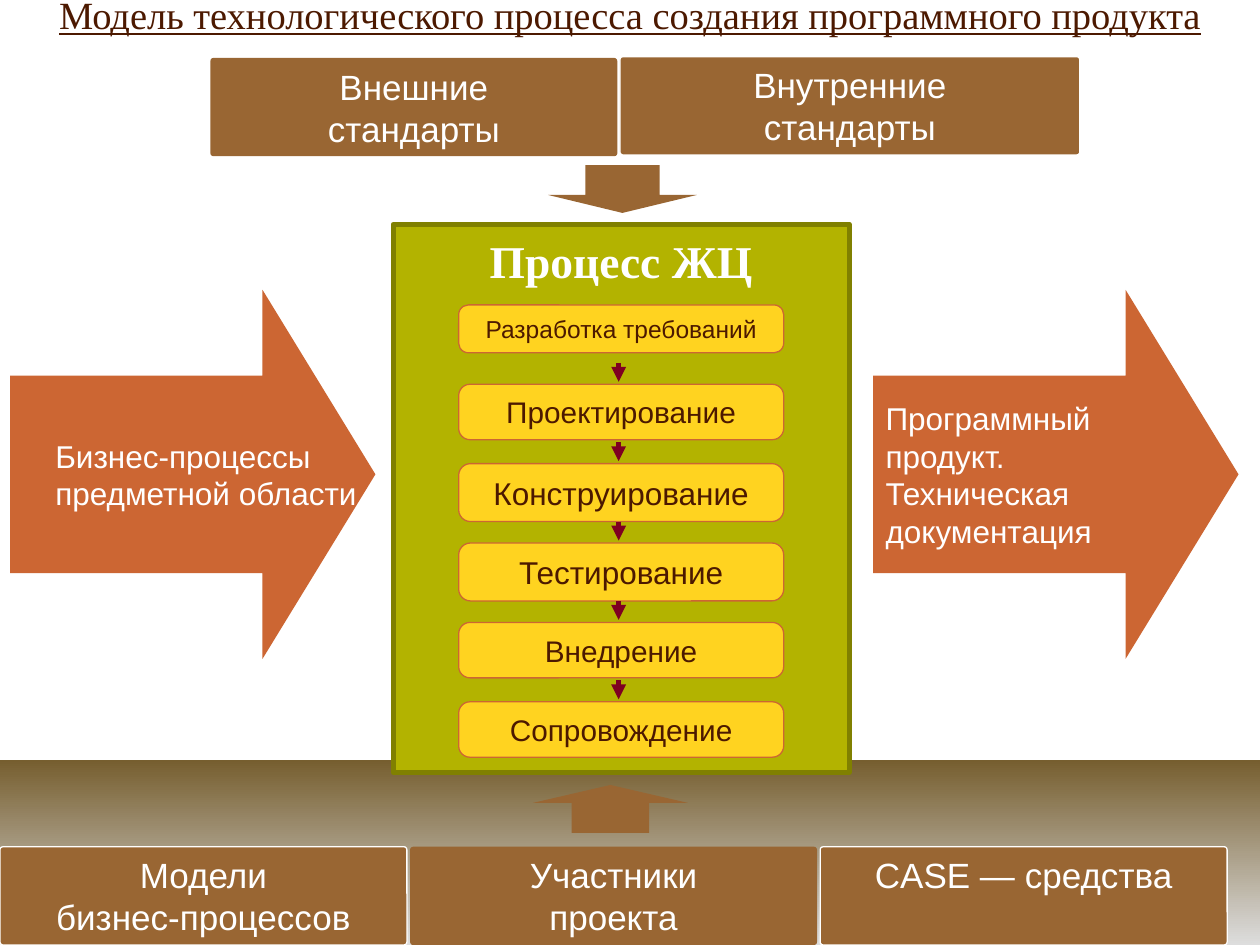
from dataclasses import dataclass

from lxml import etree
from pptx import Presentation
from pptx.dml.color import RGBColor
from pptx.enum.shapes import MSO_CONNECTOR, MSO_SHAPE
from pptx.enum.text import MSO_ANCHOR, PP_ALIGN
from pptx.oxml.ns import qn
from pptx.util import Inches, Pt

RECT, ROUND = MSO_SHAPE.RECTANGLE, MSO_SHAPE.ROUNDED_RECTANGLE
UP, DOWN, RIGHT = MSO_SHAPE.UP_ARROW, MSO_SHAPE.DOWN_ARROW, MSO_SHAPE.RIGHT_ARROW
LEFT_ALIGN, CENTER = PP_ALIGN.LEFT, PP_ALIGN.CENTER
TOP, MIDDLE = MSO_ANCHOR.TOP, MSO_ANCHOR.MIDDLE


@dataclass(frozen=True)
class Theme:
    serif: str = "Times New Roman"
    sans: str = "Arial"
    white: str = "FFFFFF"
    ink: str = "4C1900"
    card: str = "996633"
    flow: str = "CC6633"
    panel: str = "B3B300"
    panel_edge: str = "808000"
    step: str = "FFD320"
    link: str = "7E0021"
    band_top: str = "765E2F"
    band_bottom: str = "DDDDDD"
    title_size: int = 22
    heading_size: int = 26
    card_size: int = 20
    flow_size: int = 18
    thin: float = 0.75
    thick: float = 2.83


THEME = Theme()

# Content
TITLE = "Модель технологического процесса создания программного продукта"
HEADING = "Процесс ЖЦ"
STEPS = [  # text, type size, height
    ("Разработка требований", 14, 0.38),
    ("Проектирование", 17, 0.44),
    ("Конструирование", 18, 0.46),
    ("Тестирование", 18, 0.46),
    ("Внедрение", 17, 0.44),
    ("Сопровождение", 17, 0.44),
]
STANDARDS = [  # text, left, top, width, outlined
    ("Внешние\nстандарты", 1.67, 0.46, 3.23, False),
    ("Внутренние\nстандарты", 4.92, 0.45, 3.65, True),
]
RESOURCES = [  # text, outlined, anchor
    ("Модели\nбизнес-процессов", True, MIDDLE),
    ("Участники\nпроекта", False, MIDDLE),
    ("CASE — средства", True, TOP),
]
FLOWS = [  # paragraphs, left, text inset
    (["Бизнес-процессы", "предметной области"], 0.08, 0.36),
    (["Программный", "продукт.", "Техническая", "документация"], 6.93, 0.1),
]
POINTERS = [(UP, 4.23, 6.23, 1.23), (DOWN, 4.35, 1.31, 1.18)]

# Layout
SLIDE_W, SLIDE_H = 10, 7.5
BAND_TOP = 6.03
STEP_LEFT, STEP_TOP, STEP_W, STEP_PITCH = 3.64, 2.42, 2.58, 0.63
LINK_X, LINK_LENGTH, LINK_GAP = 4.91, 0.15, 0.02
CARD_W, CARD_H, CARD_PITCH = 3.23, 0.78, 3.255


def color(value):
    return RGBColor.from_string(value)


def add_box(slide, kind, box, fill=None, edge=None, edge_width=THEME.thin, adjust=()):
    shape = slide.shapes.add_shape(kind, *map(Inches, box))
    shape.shadow.inherit = False
    if fill:
        shape.fill.solid()
        shape.fill.fore_color.rgb = color(fill)
    else:
        shape.fill.background()
    if edge:
        shape.line.color.rgb = color(edge)
        shape.line.width = Pt(edge_width)
    else:
        shape.line.fill.background()
    for i, value in enumerate(adjust):
        shape.adjustments[i] = value
    return shape


def write(shape, paragraphs, size, ink=THEME.white, face=THEME.sans, align=CENTER,
          anchor=MIDDLE, bold=False, underline=False, inset=0.1, wrap=True):
    frame = shape.text_frame
    frame.word_wrap = wrap
    frame.vertical_anchor = anchor
    frame.margin_left = Inches(inset)
    for i, text in enumerate(paragraphs):
        paragraph = frame.add_paragraph() if i else frame.paragraphs[0]
        paragraph.text = text
        paragraph.alignment = align
        font = paragraph.font
        font.name, font.size = face, Pt(size)
        font.bold, font.underline = bold, underline
        font.color.rgb = color(ink)


def add_card(slide, text, box, outlined, anchor=MIDDLE):
    card = add_box(slide, ROUND, box, THEME.card,
                   THEME.white if outlined else None, adjust=[0.031])
    write(card, [text], THEME.card_size, anchor=anchor)


def add_link(slide, end):
    link = slide.shapes.add_connector(
        MSO_CONNECTOR.STRAIGHT, Inches(LINK_X), Inches(end - LINK_LENGTH),
        Inches(LINK_X), Inches(end))
    link.line.color.rgb = color(THEME.link)
    link.line.width = Pt(THEME.thick)
    etree.SubElement(link.line._get_or_add_ln(), qn("a:tailEnd"), type="triangle")
    etree.SubElement(link._element.spPr, qn("a:effectLst"))


def main():
    deck = Presentation()
    deck.slide_width, deck.slide_height = Inches(SLIDE_W), Inches(SLIDE_H)
    slide = deck.slides.add_slide(deck.slide_layouts[5])

    # Ground band and title
    band = add_box(slide, RECT, (0, BAND_TOP, SLIDE_W, SLIDE_H - BAND_TOP))
    band.fill.gradient()
    band.fill.gradient_angle = 270
    for stop, shade in zip(band.fill.gradient_stops, (THEME.band_top, THEME.band_bottom)):
        stop.color.rgb = color(shade)
    title = slide.shapes.title
    title.left, title.top, title.width, title.height = map(Inches, (0, -0.12, SLIDE_W, 0.47))
    write(title, [TITLE], THEME.title_size, THEME.ink, THEME.serif, underline=True)

    # Life-cycle panel with its chain of steps
    add_box(slide, RECT, (3.12, 1.78, 3.62, 4.35), THEME.panel, THEME.panel_edge, THEME.thick)
    heading = add_box(slide, ROUND, (STEP_LEFT, 1.76, STEP_W, 0.61))
    write(heading, [HEADING], THEME.heading_size, face=THEME.serif, bold=True)
    for i, (text, size, height) in enumerate(STEPS):
        top = STEP_TOP + i * STEP_PITCH
        step = add_box(slide, ROUND, (STEP_LEFT, top, STEP_W, height),
                       THEME.step, THEME.flow, adjust=[0.204])
        write(step, [text], size, THEME.ink)
        if i:
            add_link(slide, top - LINK_GAP)

    # Standards above, resources below
    for text, left, top, width, outlined in STANDARDS:
        add_card(slide, text, (left, top, width, CARD_H), outlined)
    for i, (text, outlined, anchor) in enumerate(RESOURCES):
        box = (i * CARD_PITCH, SLIDE_H - CARD_H, CARD_W, CARD_H)
        add_card(slide, text, box, outlined, anchor)
    for kind, left, top, width in POINTERS:
        add_box(slide, kind, (left, top, width, 0.38), THEME.card, adjust=[0.5, 0.375])

    # Input and output arrows
    for paragraphs, left, inset in FLOWS:
        flow = add_box(slide, RIGHT, (left, 2.3, 2.9, 2.93), THEME.flow, adjust=[0.535, 0.309])
        write(flow, paragraphs, THEME.flow_size, align=LEFT_ALIGN, inset=inset, wrap=False)

    deck.save("out.pptx")


if __name__ == "__main__":
    main()
